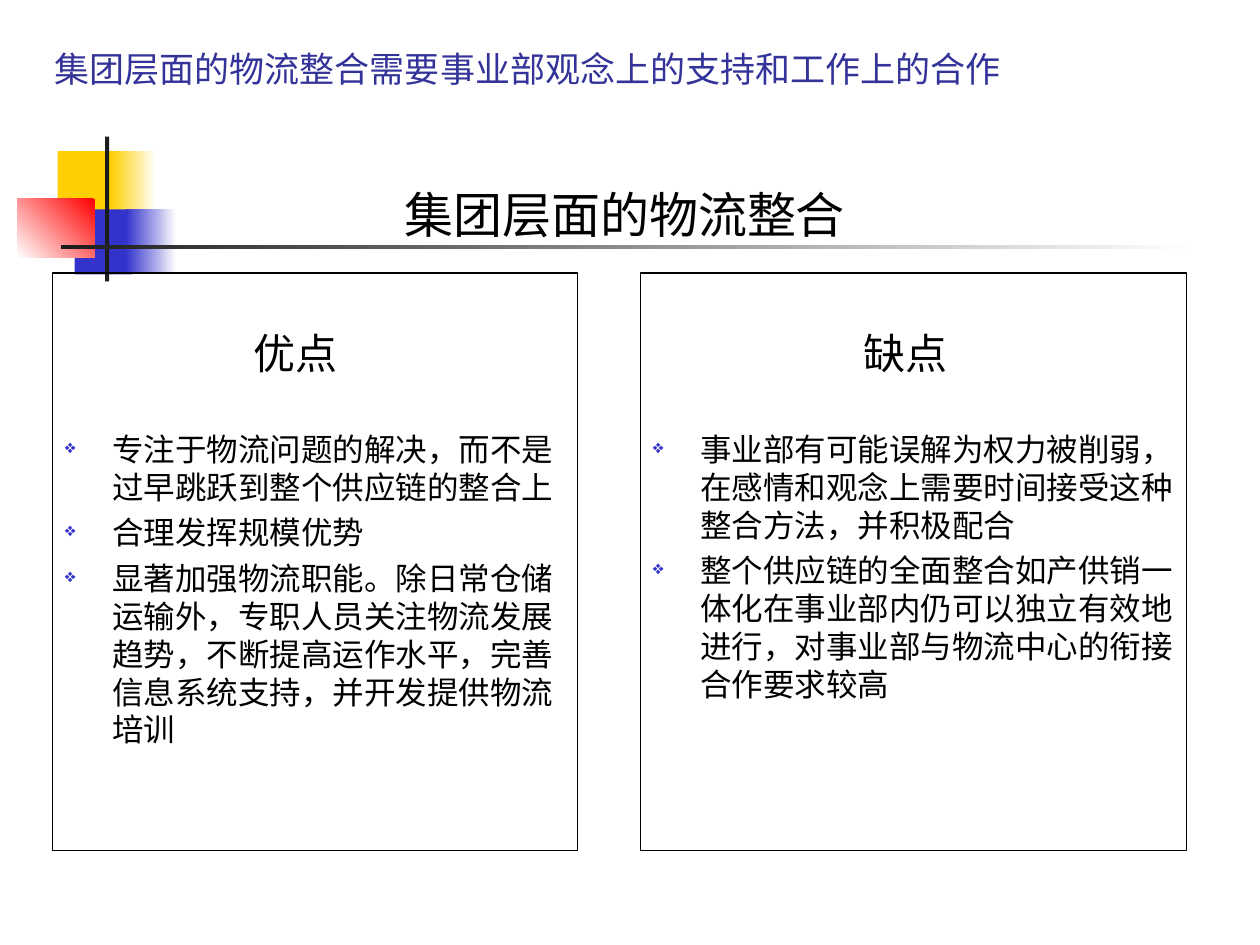
from lxml.etree import SubElement
from pptx import Presentation
from pptx.dml.color import RGBColor
from pptx.enum.shapes import MSO_SHAPE
from pptx.enum.text import MSO_ANCHOR, PP_ALIGN
from pptx.oxml.ns import qn
from pptx.util import Inches, Pt

THEME = {
    "font": "Roboto",
    "title": "333399", "text": "000000", "frame": "000000", "bullet": "3333CC",
    "yellow": "FFCF01", "blue": "3333CC", "red": "FF0000",
    "dark": "1C1C1C", "white": "FFFFFF",
    "title_size": 20, "banner_size": 28, "heading_size": 24, "body_size": 18,
}

deck = Presentation()
deck.slide_width, deck.slide_height = Inches(10), Inches(7.5)
page = deck.slides.add_slide(deck.slide_layouts[6])

# Grid of 120 columns by 90 rows
COLUMN = deck.slide_width // 120
ROW = deck.slide_height // 90


def place(left, top, width, height):
    return (round(left * COLUMN), round(top * ROW),
            round(width * COLUMN), round(height * ROW))


def write(frame, text, size, color="text", align=PP_ALIGN.LEFT, before=0,
          margin=0, hanging=0, bullet=None):
    """Write text as the next paragraph of a frame."""
    para = frame.paragraphs[0]
    if para.runs:
        para = frame.add_paragraph()
    para.alignment = align
    if before:
        para.space_before = Pt(before)
    properties = para._p.get_or_add_pPr()
    properties.set("marL", str(Inches(margin)))
    properties.set("indent", str(-Inches(hanging)))
    if bullet:
        tint = SubElement(properties, qn("a:buClr"))
        SubElement(tint, qn("a:srgbClr"), val=THEME["bullet"])
        SubElement(properties, qn("a:buSzPct"), val="60000")
        SubElement(properties, qn("a:buChar"), char=bullet)
    span = para.add_run()
    span.text = text
    span.font.name = THEME["font"]
    span.font.size = Pt(THEME[size])
    span.font.color.rgb = RGBColor.from_string(THEME[color])


# Decoration: place, colours (two make a gradient), gradient angle
decoration = [
    ((5.5, 14.4, 5.8, 6.2), ["yellow"], 0),
    ((10.5, 14.4, 4.4, 6.2), ["white", "yellow"], 180),
    ((7.1, 19.95, 5.5, 6.2), ["blue"], 0),
    ((12, 19.95, 4.8, 6.2), ["white", "blue"], 180),
    ((1.65, 18.95, 7.4, 5.55), ["red", "white"], 225),
    ((10, 13, 0.4, 13.8), ["dark"], 0),
    ((5.8, 23.35, 108, 0.4), ["white", "dark"], 180),
]
for spot, colors, angle in decoration:
    block = page.shapes.add_shape(MSO_SHAPE.RECTANGLE, *place(*spot))
    block.shadow.inherit = False
    block.line.fill.background()
    if len(colors) == 1:
        block.fill.solid()
        block.fill.fore_color.rgb = RGBColor.from_string(THEME[colors[0]])
    else:
        block.fill.gradient()
        block.fill.gradient_angle = angle
        for stop, color in zip(block.fill.gradient_stops, colors):
            stop.color.rgb = RGBColor.from_string(THEME[color])

# Title
title = page.shapes.add_textbox(*place(4, 3, 112, 6.1)).text_frame
title.word_wrap = True
title.vertical_anchor = MSO_ANCHOR.BOTTOM
write(title, "集团层面的物流整合需要事业部观念上的支持和工作上的合作",
      "title_size", color="title")

# Framed panels: left column, width, heading, heading margin, points
panels = [
    (5, 50, "优点", 1.5, [
        "专注于物流问题的解决，而不是过早跳跃到整个供应链的整合上",
        "合理发挥规模优势",
        "显著加强物流职能。除日常仓储运输外，专职人员关注物流发展趋势，"
        "不断提高运作水平，完善信息系统支持，并开发提供物流培训",
    ]),
    (61, 52, "缺点", 1.67, [
        "事业部有可能误解为权力被削弱，在感情和观念上需要时间接受这种整合方法，并积极配合",
        "整个供应链的全面整合如产供销一体化在事业部内仍可以独立有效地进行，"
        "对事业部与物流中心的衔接合作要求较高",
    ]),
]
for left, width, heading, margin, points in panels:
    panel = page.shapes.add_textbox(*place(left, 26, width, 55))
    panel.line.color.rgb = RGBColor.from_string(THEME["frame"])
    panel.line.width = Pt(0.75)
    frame = panel.text_frame
    frame.word_wrap = True
    frame.margin_top = Inches(0.43)
    write(frame, heading, "heading_size", margin=margin)
    for number, point in enumerate(points):
        write(frame, point, "body_size", before=4.5 if number else 30,
              margin=0.375, hanging=0.375, bullet="❖")

# Banner above the panels
banner = page.shapes.add_textbox(*place(25, 17, 69, 6.8)).text_frame
banner.word_wrap = True
write(banner, "集团层面的物流整合", "banner_size", align=PP_ALIGN.CENTER)

deck.save("out.pptx")
